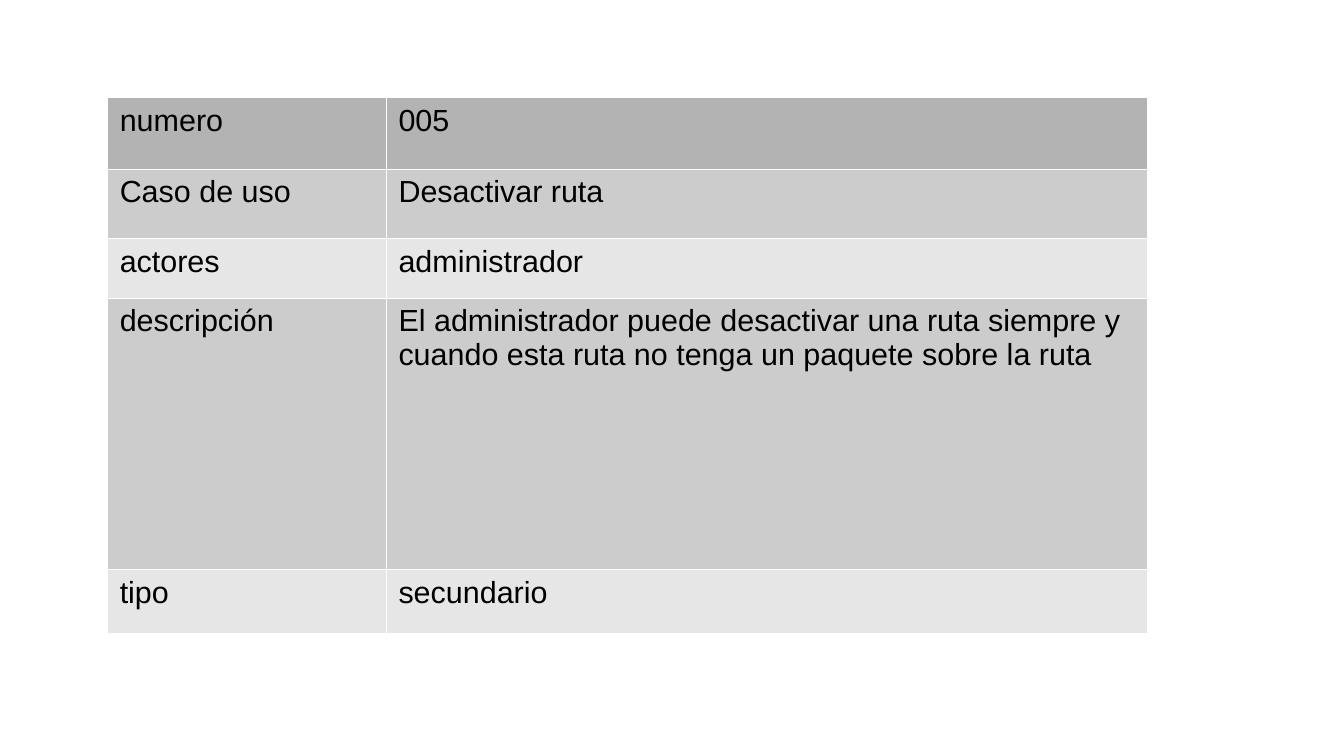
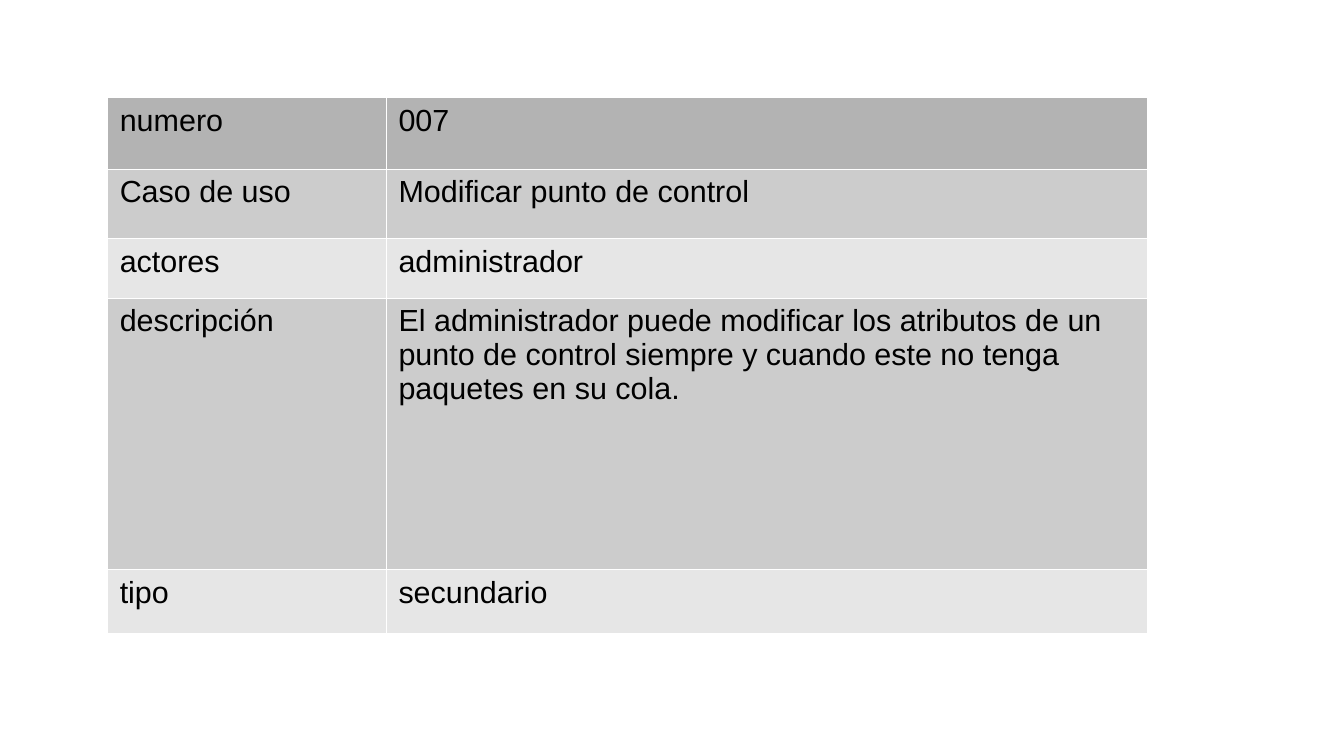
from lxml.etree import SubElement
from pptx import Presentation
from pptx.dml.color import RGBColor
from pptx.oxml.ns import qn
from pptx.util import Pt

SIZE = (793.44, 446.4)
BOX = (63.5, 57.6, 614, 316)
COLS = (164.6, 449.4)
ROWS = (42.3, 40.8, 35.1, 160.4, 37.4)
HEAD, DARK, LIGHT = "B3B3B3", "CCCCCC", "E6E6E6"
INK, EDGE = "000000", "FFFFFF"
LABELS = ("numero", "Caso de uso", "actores", "descripción", "tipo")
FONT = {"name": "Arial", "size": Pt(18), "bold": False}
INSET = {
    "margin_left": Pt(7.2),
    "margin_right": Pt(7.2),
    "margin_top": Pt(3.6),
    "margin_bottom": Pt(3.6),
}
CASES = (
    (
        "005",
        "Desactivar ruta",
        "administrador",
        "El administrador puede desactivar una ruta siempre y cuando "
        "esta ruta no tenga un paquete sobre la ruta",
        "secundario",
    ),
    (
        "007",
        "Modificar punto de control",
        "administrador",
        "El administrador puede modificar los atributos de un punto de "
        "control siempre y cuando este no tenga paquetes en su cola.",
        "secundario",
    ),
)


def paint(target, color):
    """Give a fill a solid hex colour."""
    target.solid()
    target.fore_color.rgb = RGBColor.from_string(color)


def style(target, values):
    """Set each named format value on the target."""
    for name, value in values.items():
        setattr(target, name, value)


def edge(cell):
    """Draw a hairline on all four sides of a cell."""
    props = cell._tc.get_or_add_tcPr()
    for side in ("lnL", "lnR", "lnT", "lnB"):
        line = SubElement(props, qn(f"a:{side}"), w=str(Pt(0.06)))
        fill = SubElement(line, qn("a:solidFill"))
        SubElement(fill, qn("a:srgbClr"), val=EDGE)


def write(cell, text, color):
    """Fill one cell with its text, border and colour."""
    edge(cell)
    paint(cell.fill, color)
    style(cell, INSET)
    cell.text = text
    font = cell.text_frame.paragraphs[0].runs[0].font
    style(font, FONT)
    paint(font.fill, INK)


def tone(row):
    """Return the band colour of a row."""
    if row == 0:
        return HEAD
    return DARK if row % 2 else LIGHT


def sheet(slide, box, values):
    """Place a use case table in the given box."""
    left, top, width, height = box
    frame = slide.shapes.add_table(
        len(ROWS), len(COLS), Pt(left), Pt(top), Pt(width), Pt(height)
    )
    table = frame.table
    for col, share in zip(table.columns, COLS):
        col.width = Pt(width * share / sum(COLS))
    for row, share in zip(table.rows, ROWS):
        row.height = Pt(height * share / sum(ROWS))
    for row, pair in enumerate(zip(LABELS, values)):
        for col, text in enumerate(pair):
            write(table.cell(row, col), text, tone(row))


def main():
    """Build one slide for each use case."""
    deck = Presentation()
    deck.slide_width, deck.slide_height = map(Pt, SIZE)
    paint(deck.slide_master.background.fill, EDGE)
    for values in CASES:
        slide = deck.slides.add_slide(deck.slide_layouts[6])
        sheet(slide, BOX, values)
    deck.save("out.pptx")


if __name__ == "__main__":
    main()
